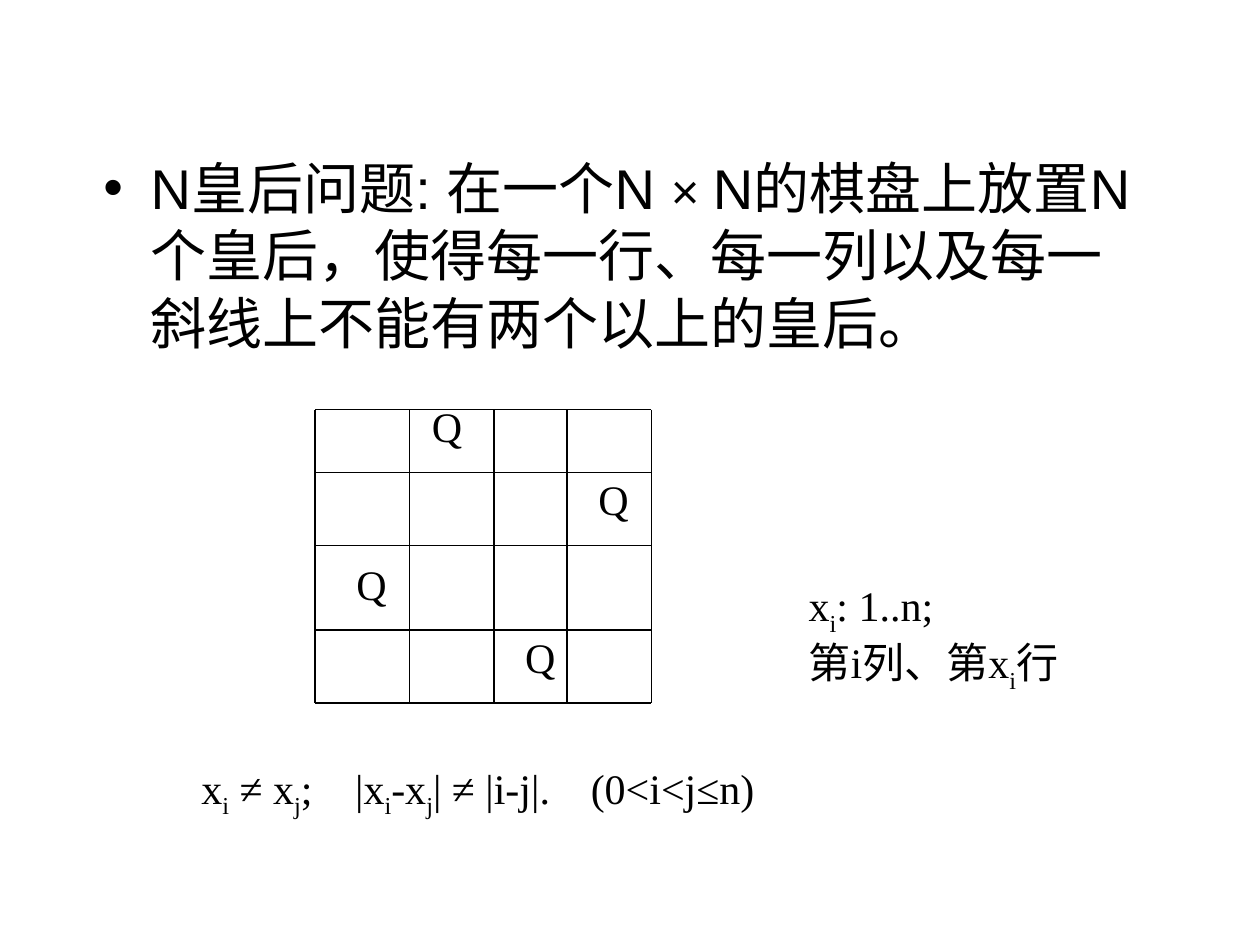
from pptx import Presentation
from pptx.dml.color import RGBColor
from pptx.enum.shapes import MSO_CONNECTOR as Conn
from pptx.oxml.ns import qn
from pptx.util import Inches, Pt
from lxml.etree import SubElement as Sub

BLACK = RGBColor(0, 0, 0)
SERIF = "Times New Roman"

deck = Presentation()
deck.slide_width, deck.slide_height = Inches(10), Inches(7.5)
slide = deck.slides.add_slide(deck.slide_layouts[1])
shapes = slide.shapes
title = shapes.title.element
title.getparent().remove(title)


def add_run(para, text, size, face, base=0):
    run = para.add_run()
    run.text = text
    font = run.font
    font.size, font.name = Pt(size), face
    font.color.rgb = BLACK
    if base:
        run._r.get_or_add_rPr().set("baseline", str(base * 1000))


def add_note(left, top, wide, high, lines):
    box = shapes.add_textbox(Inches(left), Inches(top), Inches(wide), Inches(high))
    frame = box.text_frame
    frame.word_wrap = True
    for row, parts in enumerate(lines):
        para = frame.add_paragraph() if row else frame.paragraphs[0]
        for part in parts:
            add_run(para, part, 24, SERIF, -25 if part in ("i", "j") else 0)
    return frame


body = slide.placeholders[1]
body.left, body.top = Inches(0.62), Inches(1.17)
body.width, body.height = Inches(8.63), Inches(5.5)
frame = body.text_frame
frame.margin_left = frame.margin_right = Inches(0.2)
para = frame.paragraphs[0]
add_run(para, "N皇后问题: 在一个N ", 32, "Arial")
add_run(para, "× ", 28, "Arial")
add_run(para, "N的棋盘上放置N个皇后，使得每一行、每一列以及每一斜线上不能有两个以上的皇后。", 32, "Arial")

cols = [2.5, 3.25, 3.92, 4.5, 5.17]
rows = [3.25, 3.75, 4.33, 5, 5.58]
lines = [(x, rows[0], x, rows[-1]) for x in cols]
lines += [(cols[0], y, cols[-1], y) for y in rows]
for ends in lines:
    edge = shapes.add_connector(Conn.STRAIGHT, *map(Inches, ends))
    edge.line.color.rgb = BLACK
    edge.line.width = Pt(0.75)
    Sub(edge.element.spPr, qn("a:effectLst"))

for left, top in [(3.33, 3.13), (4.65, 3.71), (2.73, 4.38), (4.07, 4.96)]:
    add_note(left, top, 0.5, 0.5, [["Q"]])

rule = ["x", "i", " ≠ x", "j", ";\t|x", "i", "-x", "j", "| ≠ |i-j|.\t(0<i<j≤n)"]
frame = add_note(1.5, 6, 5.08, 0.5, [rule])
props = frame.paragraphs[0]._p.get_or_add_pPr()
tabs = Sub(props, qn("a:tabLst"))
for stop in (1.22, 3.09):
    Sub(tabs, qn("a:tab"), pos=str(Inches(stop)), algn="l")

add_note(6.32, 4.55, 2.21, 0.91, [["x", "i", ": 1..n;"], ["第i列、第x", "i", "行"]])

deck.save("out.pptx")
